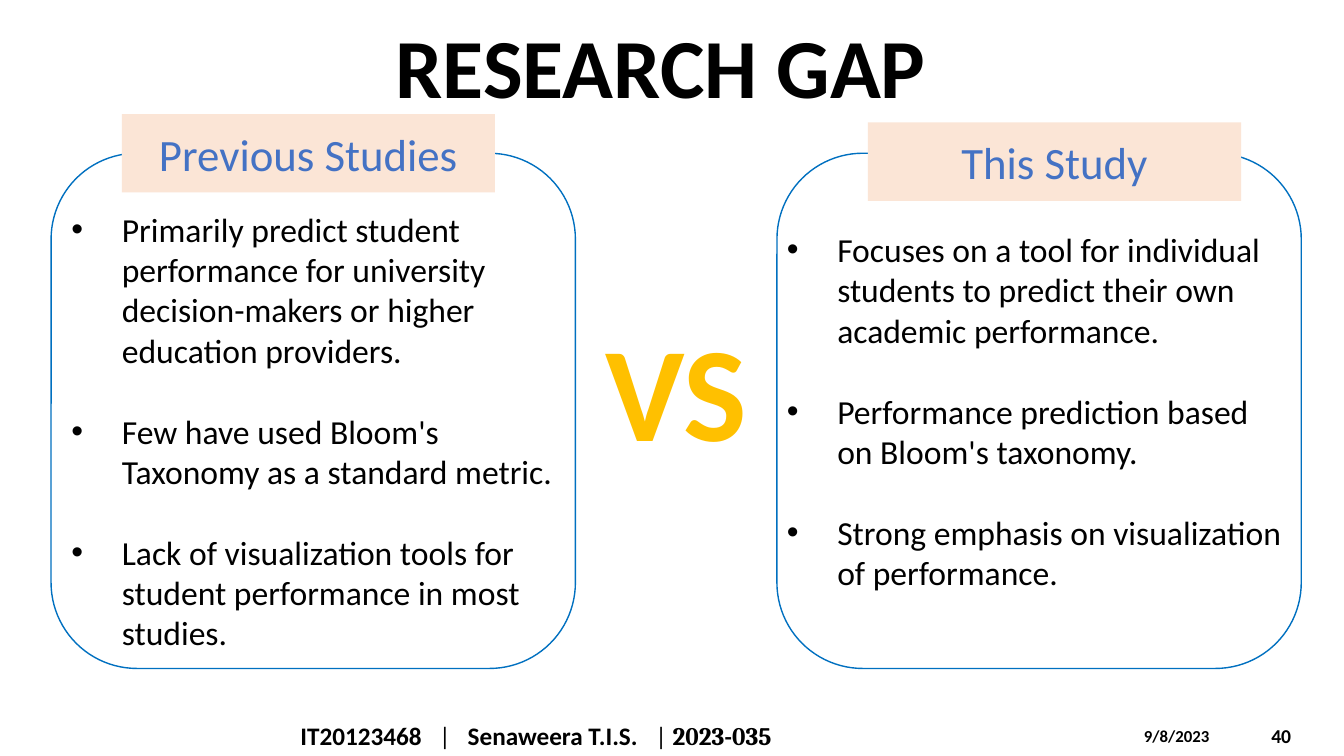
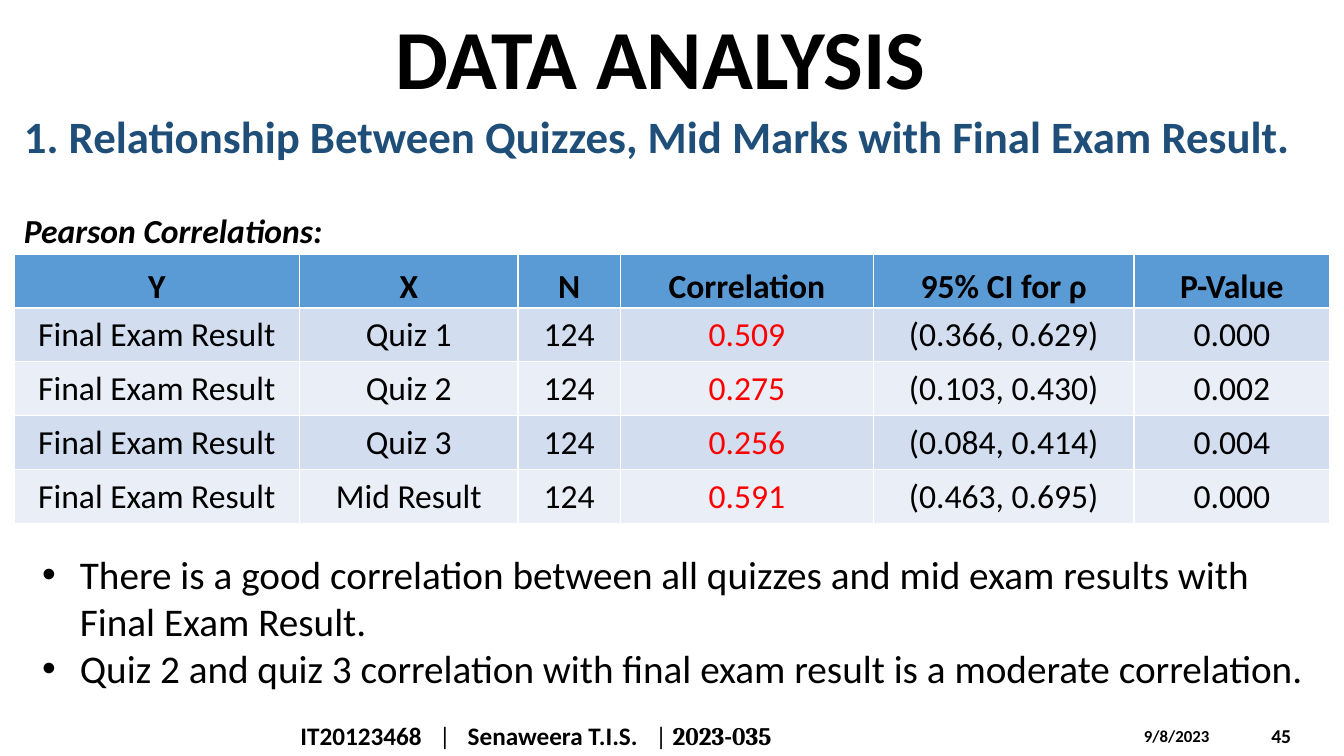
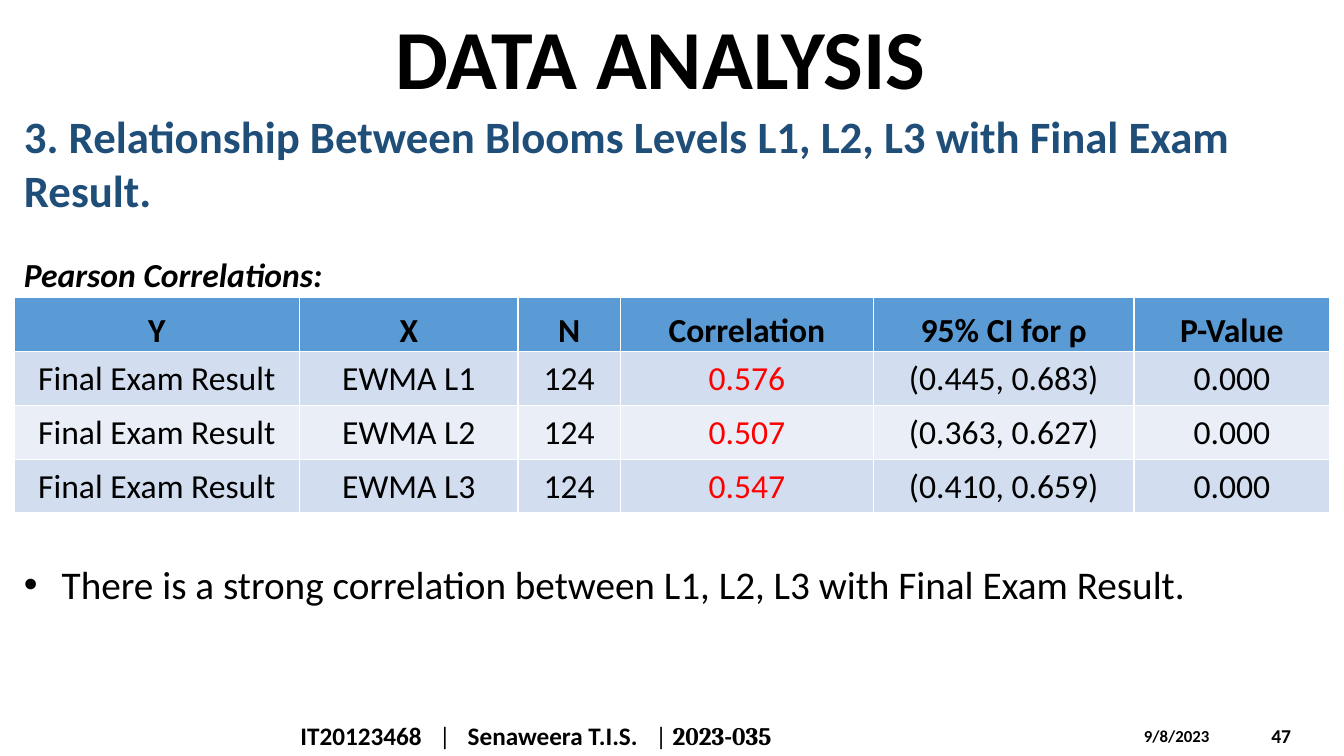
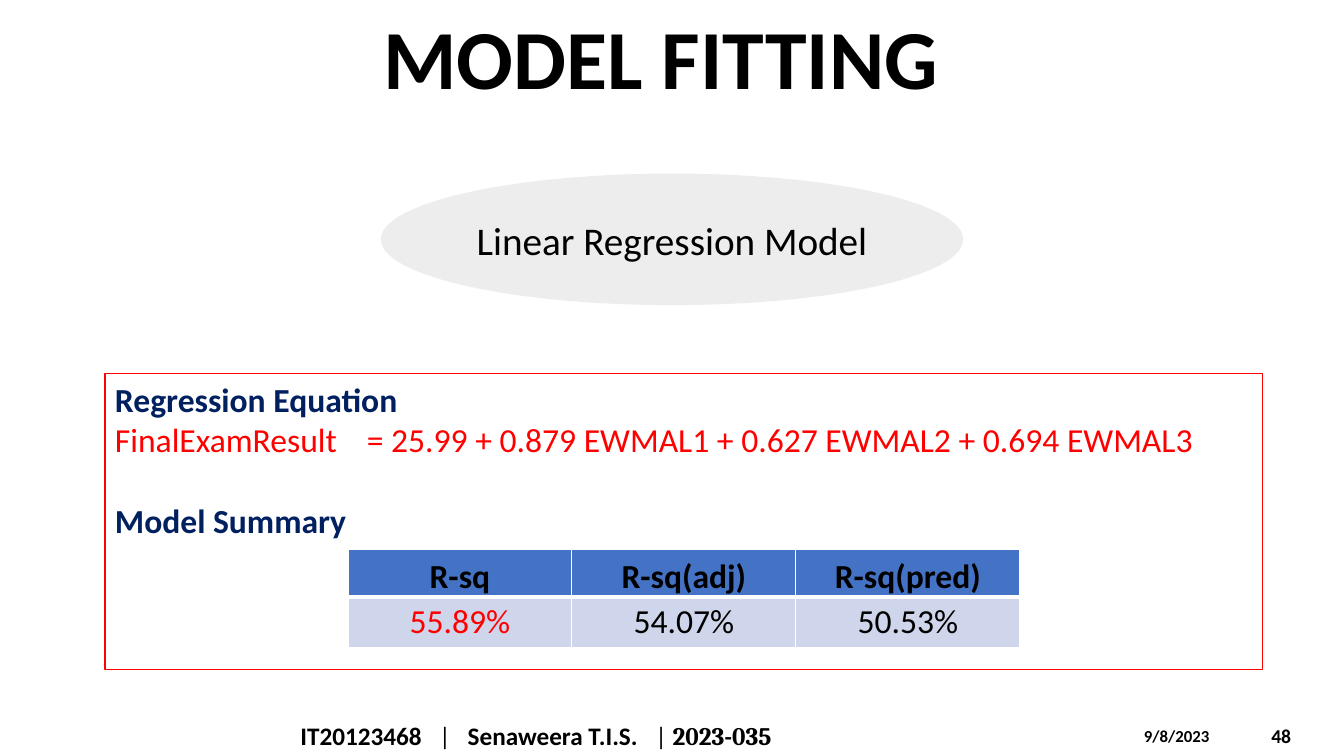
import dataclasses
import pptx
import pptx.dml.color
import pptx.enum.shapes
import pptx.enum.text
import pptx.oxml.ns
import pptx.util
import lxml.etree

Pt = pptx.util.Pt
ALIGN = pptx.enum.text.PP_ALIGN
ANCHOR = pptx.enum.text.MSO_ANCHOR
SHAPE = pptx.enum.shapes.MSO_SHAPE


@dataclasses.dataclass(frozen=True)
class Theme:
    """Colours, fonts and type sizes of the deck."""
    font: str = "Calibri"
    code_font: str = "Cambria"
    white: str = "FFFFFF"
    ink: str = "000000"
    accent: str = "4472C4"
    outline: str = "0070C0"
    peach: str = "FBE5D6"
    gold: str = "FFC000"
    heading: str = "1F4E79"
    navy: str = "002060"
    red: str = "FF0000"
    grey: str = "EDEDED"
    correlation_head: str = "5B9BD5"
    correlation_bands: tuple = ("D2DEEF", "EAEFF7")
    summary_bands: tuple = ("CFD5EA",)
    title_size: int = 60
    versus_size: int = 96
    heading_size: int = 32
    point_size: int = 28
    body_size: int = 24
    footer_size: int = 18
    number_size: int = 14
    date_size: int = 12


THEME = Theme()
BLANK_LINE = 29


def rgb(color):
    """Turn a hex string into a colour."""
    return pptx.dml.color.RGBColor.from_string(color)


def sub(parent, tag, **attributes):
    """Append a drawing element to a parent."""
    return lxml.etree.SubElement(parent, pptx.oxml.ns.qn(tag), **attributes)


def style(run, size, color=THEME.ink, bold=False, italic=False, font=THEME.font):
    """Format one run."""
    run.font.name, run.font.size = font, Pt(size)
    run.font.bold, run.font.italic = bold, italic
    run.font.color.rgb = rgb(color)


def write(frame, lines, size, align=ALIGN.LEFT, spacing=None, gap=0, indent=0, **look):
    """Fill a frame with paragraphs of one style, bulleted when indented."""
    frame.word_wrap = True
    frame.text = "\n".join(lines)
    for index, paragraph in enumerate(frame.paragraphs):
        paragraph.alignment = align
        if spacing:
            paragraph.line_spacing = spacing
        if gap and index:
            paragraph.space_before = Pt(gap)
        if indent:
            properties = paragraph._p.get_or_add_pPr()
            properties.set("marL", str(Pt(indent)))
            properties.set("indent", str(-Pt(indent)))
            sub(properties, "a:buFont", typeface="Arial")
            sub(properties, "a:buChar", char="•")
        for run in paragraph.runs:
            style(run, size, **look)


def add_text(slide, box, lines, size, anchor=ANCHOR.TOP, **look):
    """Place a text box."""
    frame = slide.shapes.add_textbox(*map(Pt, box)).text_frame
    frame.vertical_anchor = anchor
    write(frame, lines, size, **look)
    return frame


def add_figure(slide, kind, box, fill=None, line=None, line_width=1):
    """Place a flat preset shape."""
    figure = slide.shapes.add_shape(kind, *map(Pt, box))
    figure.shadow.inherit = False
    if fill:
        figure.fill.solid()
        figure.fill.fore_color.rgb = rgb(fill)
    else:
        figure.fill.background()
    if line:
        figure.line.color.rgb = rgb(line)
        figure.line.width = Pt(line_width)
    else:
        figure.line.fill.background()
    return figure


def add_footer(slide, number, left=207.5, top=511):
    """Place the author line, date and slide number."""
    frame = add_text(slide, (left, top, 536, 29), [""], THEME.footer_size, ANCHOR.MIDDLE)
    paragraph = frame.paragraphs[0]
    stops = sub(paragraph._p.get_or_add_pPr(), "a:tabLst")
    for position in (99, 119.5, 253.5):
        sub(stops, "a:tab", pos=str(Pt(position)), algn="l")
    for text, bold, font in (("IT20123468", True, THEME.font),
                             ("\t|\t", False, THEME.font),
                             ("Senaweera T.I.S.", True, THEME.font),
                             ("\t| ", False, THEME.font),
                             ("2023-035", True, THEME.code_font)):
        run = paragraph.add_run()
        run.text = text
        style(run, THEME.footer_size, bold=bold, font=font)
    add_text(slide, (left + 602.5, top + 4, 84, 22), ["9/8/2023"], THEME.date_size, bold=True)
    add_text(slide, (left + 693.5, top, 53, 29), [str(number)], THEME.number_size,
             ANCHOR.MIDDLE, bold=True)


def add_slide(deck, title, number, title_top=8.5):
    """Start a slide with its title and footer."""
    slide = deck.slides.add_slide(deck.slide_layouts[6])
    add_footer(slide, number)
    add_text(slide, (57.5, title_top, 829, 66), [title], THEME.title_size,
             align=ALIGN.CENTER, spacing=0.9, bold=True)
    return slide


def set_borders(cell, top, bottom):
    """Draw the white rules around a cell."""
    properties = cell._tc.get_or_add_tcPr()
    sides = (("a:lnL", 1), ("a:lnR", 1), ("a:lnT", top), ("a:lnB", bottom))
    for index, (tag, width) in enumerate(sides):
        rule = lxml.etree.Element(pptx.oxml.ns.qn(tag), w=str(Pt(width)))
        sub(sub(rule, "a:solidFill"), "a:srgbClr", val=THEME.white)
        properties.insert(index, rule)


def add_grid(slide, left, top, widths, heights, rows, head, bands, red_column,
             head_rule=1, tight_body=True):
    """Place a table with a bold header, banded rows and one red column."""
    grid = slide.shapes.add_table(len(rows), len(widths), Pt(left), Pt(top),
                                  Pt(sum(widths)), Pt(sum(heights))).table
    for column, width in zip(grid.columns, widths):
        column.width = Pt(width)
    for r, (values, height) in enumerate(zip(rows, heights)):
        grid.rows[r].height = Pt(height)
        is_head = r == 0
        tight = is_head or tight_body
        for c, value in enumerate(values):
            cell = grid.cell(r, c)
            cell.fill.solid()
            cell.fill.fore_color.rgb = rgb(head if is_head else bands[(r - 1) % len(bands)])
            if tight:
                cell.margin_left = cell.margin_right = Pt(1.5)
                cell.margin_top, cell.margin_bottom = Pt(0.7), 0
            cell.vertical_anchor = ANCHOR.BOTTOM if is_head else ANCHOR.TOP
            red = c == red_column and not is_head
            write(cell.text_frame, [value], THEME.body_size, align=ALIGN.CENTER,
                  spacing=1.15 if tight else None, bold=is_head,
                  color=THEME.red if red else THEME.ink)
            set_borders(cell, head_rule if r == 1 else 1, head_rule if is_head else 1)


def add_panel(slide, box, heading, heading_offset, points, points_offset):
    """Place a rounded panel with its points and heading plate."""
    left, top, width, height = box
    add_figure(slide, SHAPE.ROUNDED_RECTANGLE, box, line=THEME.outline)
    dx, dy = points_offset
    add_text(slide, (left + dx, top + dy, width, height - dy), points, THEME.body_size,
             gap=BLANK_LINE, indent=36)
    dx, dy = heading_offset
    plate = add_figure(slide, SHAPE.RECTANGLE, (left + dx, top + dy, 266.5, 56), THEME.peach)
    plate.text_frame.vertical_anchor = ANCHOR.MIDDLE
    write(plate.text_frame, [heading], THEME.heading_size, align=ALIGN.CENTER,
          color=THEME.accent)


def build_gap(deck):
    """Build the comparison of earlier studies with this one."""
    slide = add_slide(deck, "RESEARCH GAP", 40, title_top=15)
    top, width, height = 109.5, 374.5, 368
    add_panel(slide, (36.5, top, width, height), "Previous Studies", (50.5, -28),
              ["Primarily predict student performance for university decision-makers "
               "or higher education providers.",
               "Few have used Bloom's Taxonomy as a standard metric.",
               "Lack of visualization tools for student performance in most studies."],
              (7.5, 36))
    add_panel(slide, (555, top, width, height), "This Study", (65, -22),
              ["Focuses on a tool for individual students to predict their own "
               "academic performance.",
               "Performance prediction based on Bloom's taxonomy.",
               "Strong emphasis on visualization of performance."],
              (0, 50.5))
    add_text(slide, (422, 216, 122.5, 124), ["VS"], THEME.versus_size,
             align=ALIGN.CENTER, color=THEME.gold, bold=True)


def build_analysis(deck, number, heading, table_top, results, points, points_box):
    """Build a correlation slide."""
    slide = add_slide(deck, "DATA ANALYSIS", number)
    left, width = 10, 940
    add_text(slide, (left, 74, width, 85), [heading], THEME.heading_size,
             color=THEME.heading, bold=True)
    add_text(slide, (left, table_top - 35, 230, 36), ["Pearson Correlations:"],
             THEME.body_size, bold=True, italic=True)
    rows = [("Y", "X", "N", "Correlation", "95% CI for ρ", "P-Value")]
    rows += [("Final Exam Result", factor, "124", *values) for factor, *values in results]
    add_grid(slide, left, table_top, (204, 156, 73, 181, 186, 140), [38.5] * len(rows), rows,
             THEME.correlation_head, THEME.correlation_bands, red_column=3)
    add_text(slide, points_box, points, THEME.point_size, indent=27)


def add_regression(slide, box):
    """Place the framed equation and model summary."""
    left, top, width, _ = box
    frame = add_figure(slide, SHAPE.RECTANGLE, box, line=THEME.red, line_width=0.75).text_frame
    frame.vertical_anchor = ANCHOR.TOP
    write(frame, ["Regression Equation",
                  "FinalExamResult\t= 25.99 + 0.879 EWMAL1 + 0.627 EWMAL2 + 0.694 EWMAL3",
                  "Model Summary"], THEME.body_size, color=THEME.navy, bold=True)
    _, equation, summary = frame.paragraphs
    for run in equation.runs:
        style(run, THEME.body_size, THEME.red)
    summary.space_before = Pt(BLANK_LINE)
    widths = (160, 160, 160)
    add_grid(slide, left + (width - sum(widths)) / 2, top + 125.5, widths, (33, 36),
             [("R-sq", "R-sq(adj)", "R-sq(pred)"), ("55.89%", "54.07%", "50.53%")],
             THEME.accent, THEME.summary_bands, red_column=0, head_rule=3, tight_body=False)


def build_model(deck):
    """Build the model fitting slide."""
    slide = add_slide(deck, "MODEL FITTING", 48)
    add_regression(slide, (75, 267, 827, 211))
    model = add_figure(slide, SHAPE.OVAL, (272, 124, 416, 94), THEME.grey)
    model.text_frame.vertical_anchor = ANCHOR.MIDDLE
    write(model.text_frame, ["Linear Regression Model"], THEME.point_size, align=ALIGN.CENTER)


def main():
    """Build and save the deck."""
    deck = pptx.Presentation()
    deck.slide_width, deck.slide_height = Pt(960), Pt(540)
    build_gap(deck)
    build_analysis(
        deck, 45, "1. Relationship Between Quizzes, Mid Marks with Final Exam Result.", 181.5,
        [("Quiz 1", "0.509", "(0.366, 0.629)", "0.000"),
         ("Quiz 2", "0.275", "(0.103, 0.430)", "0.002"),
         ("Quiz 3", "0.256", "(0.084, 0.414)", "0.004"),
         ("Mid Result", "0.591", "(0.463, 0.695)", "0.000")],
        ["There is a good correlation between all quizzes and mid exam results with "
         "Final Exam Result.",
         "Quiz 2 and quiz 3 correlation with final exam result is a moderate correlation."],
        (23, 389.5, 927, 120))
    build_analysis(
        deck, 47, "3. Relationship Between Blooms Levels L1, L2, L3 with Final Exam Result.",
        212.5,
        [("EWMA L1", "0.576", "(0.445, 0.683)", "0.000"),
         ("EWMA L2", "0.507", "(0.363, 0.627)", "0.000"),
         ("EWMA L3", "0.547", "(0.410, 0.659)", "0.000")],
        ["There is a strong correlation between L1, L2, L3 with Final Exam Result."],
        (10, 396.5, 940, 63))
    build_model(deck)
    deck.save("out.pptx")


if __name__ == "__main__":
    main()
